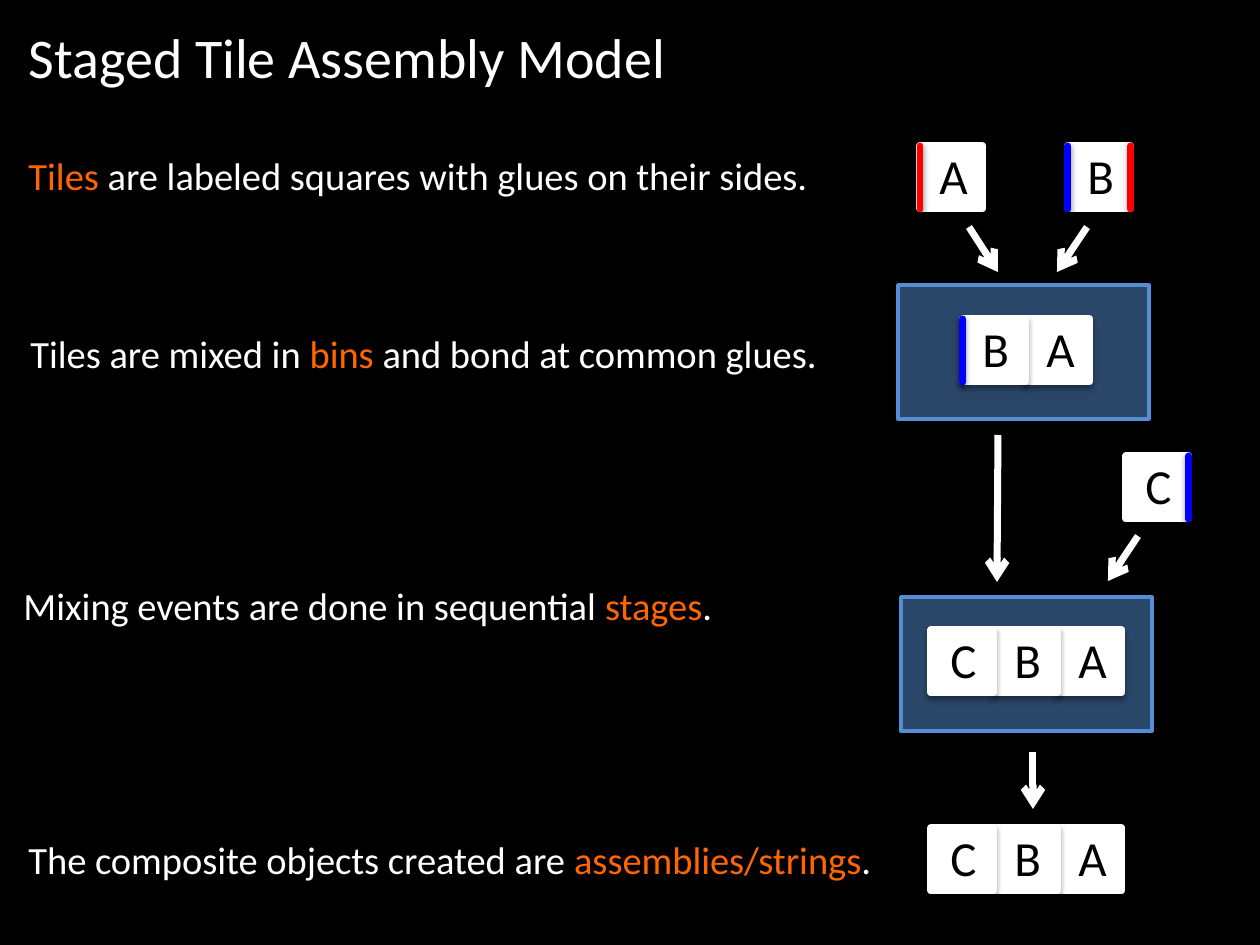
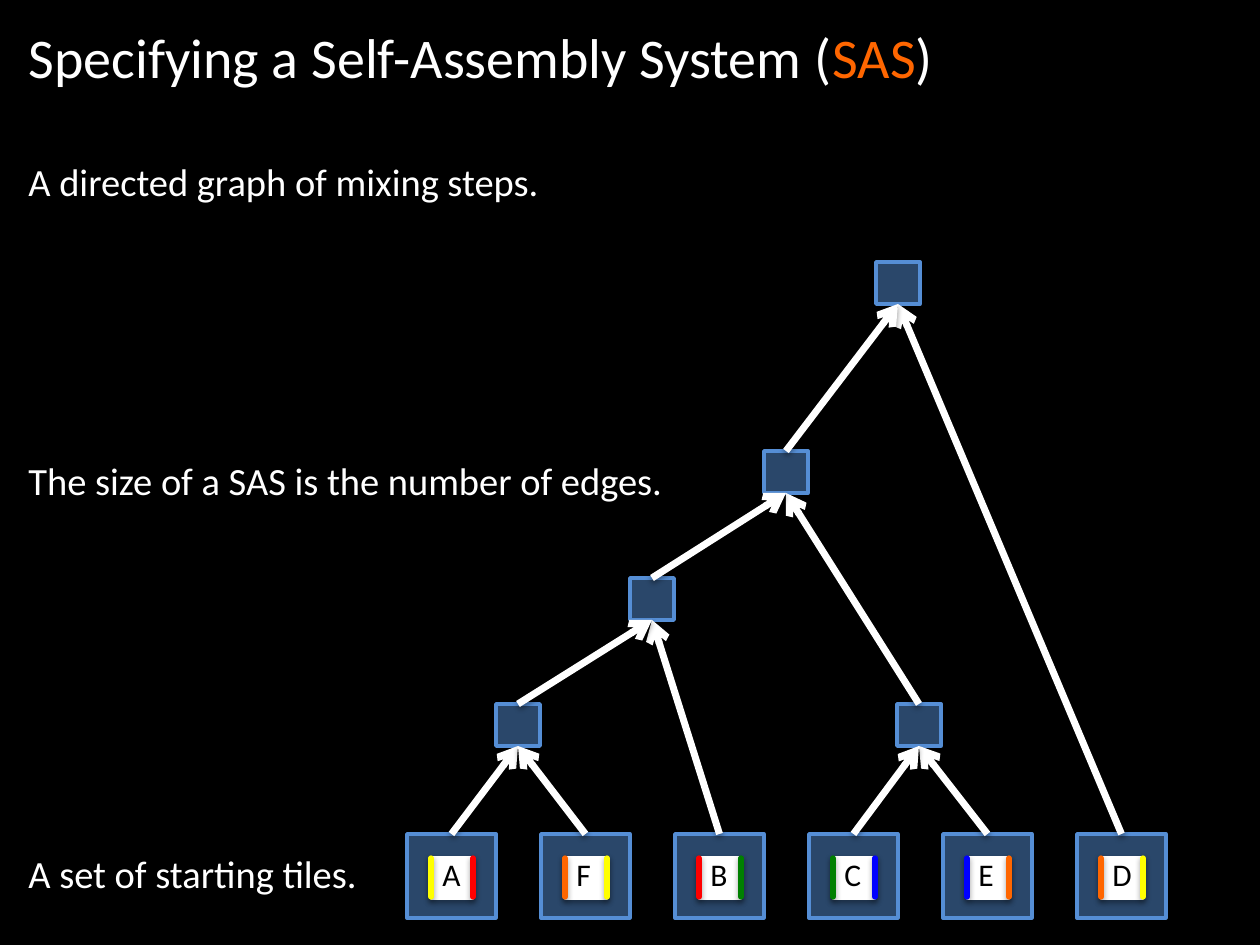
"""Build two slides on staged tile self-assembly."""

from dataclasses import dataclass
from typing import NamedTuple, Optional

from lxml.etree import SubElement
from pptx import Presentation
from pptx.dml.color import RGBColor
from pptx.enum.shapes import MSO_CONNECTOR, MSO_SHAPE
from pptx.enum.text import MSO_ANCHOR, MSO_AUTO_SIZE, PP_ALIGN
from pptx.oxml.ns import qn
from pptx.shapes.autoshape import Shape
from pptx.shapes.connector import Connector
from pptx.slide import Slide
from pptx.text.text import TextFrame
from pptx.util import Emu, Pt

PX_PER_INCH = 126
SLIDE_W, SLIDE_H = 1260, 945
FONT = "Calibri"

BLACK = RGBColor(0x00, 0x00, 0x00)
WHITE = RGBColor(0xFF, 0xFF, 0xFF)
ORANGE = RGBColor(0xFF, 0x66, 0x00)
RED = RGBColor(0xFF, 0x00, 0x00)
BLUE = RGBColor(0x00, 0x00, 0xFF)
YELLOW = RGBColor(0xFF, 0xFF, 0x00)
GREEN = RGBColor(0x00, 0x80, 0x00)
BIN_BLUE = RGBColor(0x55, 0x8E, 0xD5)


class Box(NamedTuple):
    """Left, top, width and height in px."""

    left: int
    top: int
    width: int
    height: int


@dataclass(frozen=True)
class TileStyle:
    """Measures shared by all tiles of one size."""

    side: int
    outline: float
    glue_width: float
    glue_inset: int
    label_dx: int
    label_dy: int
    label_width: int
    label_height: int
    label_size: int


@dataclass(frozen=True)
class Tile:
    """A labeled square with optional glues on its left and right sides."""

    label: str
    left: int
    top: int
    left_glue: Optional[RGBColor] = None
    right_glue: Optional[RGBColor] = None


class Statement(NamedTuple):
    """A sentence whose key terms stand between asterisks."""

    text: str
    box: Box


class Arrow(NamedTuple):
    """Start and end of a free arrow in px."""

    x1: int
    y1: int
    x2: int
    y2: int


LARGE = TileStyle(63, 4, 4, 0, 7, -7, 57, 72, 28)
SMALL = TileStyle(42, 0.75, 3, 1, -1, -8, 48, 50, 18)
STRING_STEP = 64

MODEL_STATEMENTS = [
    Statement("*Tiles *are labeled squares with glues on their sides.", Box(16, 146, 863, 59)),
    Statement("Tiles are mixed in *bins *and bond at common glues.", Box(18, 324, 861, 59)),
    Statement("Mixing events are done in sequential *stages*.", Box(11, 576, 785, 59)),
    Statement("The composite objects created are *assemblies/strings*.", Box(16, 830, 885, 59)),
]
STAGE_BINS = [Box(898, 285, 251, 134), Box(901, 597, 251, 134)]
STAGE_ARROWS = [
    Arrow(969, 227, 998, 272),
    Arrow(1087, 227, 1057, 272),
    Arrow(1138, 536, 1108, 581),
    Arrow(998, 435, 997, 582),
    Arrow(1033, 752, 1033, 809),
]
INPUT_TILES = [
    Tile("B", 1068, 146, BLUE, RED),
    Tile("A", 920, 146, RED),
    Tile("C", 1126, 456, None, BLUE),
]

SYSTEM_STATEMENTS = [
    Statement("A directed graph of mixing steps.", Box(16, 152, 1244, 59)),
    Statement("The size of a SAS is the number of edges.", Box(16, 451, 1244, 59)),
    Statement("A set of starting tiles.", Box(16, 844, 370, 59)),
]
STARTING_GLUES = {
    "A": (YELLOW, RED),
    "F": (ORANGE, YELLOW),
    "B": (RED, GREEN),
    "C": (GREEN, BLUE),
    "E": (BLUE, ORANGE),
    "D": (ORANGE, YELLOW),
}
STARTING_LEFT, STARTING_TOP, STARTING_STEP = 407, 834, 134
MIXING_STEPS = {
    "AF": (496, 704),
    "CE": (897, 704),
    "AFB": (630, 578),
    "AFBCE": (764, 451),
    "AFBCED": (876, 262),
}
EDGES = [
    ("A", "AF"), ("F", "AF"), ("B", "AFB"), ("AF", "AFB"), ("E", "CE"), ("C", "CE"),
    ("CE", "AFBCE"), ("AFB", "AFBCE"), ("D", "AFBCED"), ("AFBCE", "AFBCED"),
]


def px(length: float) -> Emu:
    """Turn px into EMU."""
    return Emu(round(length * 914400 / PX_PER_INCH))


def cast_shadow(part: Shape | Connector, distance: int, opacity: int) -> None:
    """Give a shape or connector a soft shadow below it."""
    properties = part.element.spPr
    effects = properties.find(qn("a:effectLst"))
    if effects is None:
        effects = SubElement(properties, qn("a:effectLst"))
    shadow = SubElement(effects, qn("a:outerShdw"), blurRad="40000",
                        dist=str(distance), dir="5400000", rotWithShape="0")
    color = SubElement(shadow, qn("a:srgbClr"), val=str(BLACK))
    SubElement(color, qn("a:alpha"), val=str(opacity * 1000))


def write(frame: TextFrame, text: str, size: int, color: RGBColor) -> None:
    """Write one left-aligned paragraph, with terms between asterisks in orange."""
    frame.word_wrap = True
    frame.vertical_anchor = MSO_ANCHOR.TOP
    paragraph = frame.paragraphs[0]
    paragraph.alignment = PP_ALIGN.LEFT
    paragraph.font.name = FONT
    paragraph.font.size = Pt(size)
    paragraph.font.color.rgb = color
    for index, piece in enumerate(text.split("*")):
        if piece:
            run = paragraph.add_run()
            run.text = piece
            if index % 2:
                run.font.color.rgb = ORANGE


def add_text(slide: Slide, text: str, box: Box, size: int = 22, color: RGBColor = WHITE) -> None:
    """Add a text box."""
    frame = slide.shapes.add_textbox(*map(px, box)).text_frame
    write(frame, text, size, color)
    frame.auto_size = MSO_AUTO_SIZE.SHAPE_TO_FIT_TEXT


def add_block(slide: Slide, box: Box, fill: RGBColor, outline: float) -> Shape:
    """Add a shadowed rectangle whose outline matches its fill."""
    block = slide.shapes.add_shape(MSO_SHAPE.RECTANGLE, *map(px, box))
    block.fill.solid()
    block.fill.fore_color.rgb = fill
    block.line.color.rgb = fill
    block.line.width = Pt(outline)
    block.shadow.inherit = False
    cast_shadow(block, 23000, 35)
    return block


def add_bin(slide: Slide, box: Box) -> Shape:
    """Add a half-transparent mixing bin."""
    mixing_bin = add_block(slide, box, BIN_BLUE, 2)
    color = mixing_bin.element.spPr.find(qn("a:solidFill"))[0]
    SubElement(color, qn("a:alpha"), val="50000")
    return mixing_bin


def add_line(slide: Slide, ends: tuple[Emu, ...], color: RGBColor, width: float) -> Connector:
    """Add a straight shadowed line between two points in EMU."""
    line = slide.shapes.add_connector(MSO_CONNECTOR.STRAIGHT, *ends)
    line.line.color.rgb = color
    line.line.width = Pt(width)
    cast_shadow(line, 20000, 38)
    return line


def add_arrow(slide: Slide, ends: tuple[Emu, ...]) -> Connector:
    """Add a white arrow between two points in EMU."""
    arrow = add_line(slide, ends, WHITE, 4)
    SubElement(arrow.line._get_or_add_ln(), qn("a:tailEnd"), type="arrow")
    return arrow


def add_edge(slide: Slide, source: Shape, target: Shape) -> None:
    """Join the top of one bin to the bottom of the bin it feeds."""
    ends = (source.left + source.width // 2, source.top,
            target.left + target.width // 2, target.top + target.height)
    edge = add_arrow(slide, tuple(map(Emu, ends)))
    edge.begin_connect(source, 0)
    edge.end_connect(target, 2)


def add_tile(slide: Slide, tile: Tile, style: TileStyle) -> None:
    """Add a tile with its glues and label."""
    add_block(slide, Box(tile.left, tile.top, style.side, style.side), WHITE, style.outline)
    bottom = tile.top + style.side - 2 * style.glue_inset
    top = tile.top + style.glue_inset
    for x, glue in ((tile.left, tile.left_glue), (tile.left + style.side, tile.right_glue)):
        if glue is not None:
            ends = tuple(map(px, (x, bottom, x, top)))
            side = add_line(slide, ends, glue, style.glue_width)
            side.line._get_or_add_ln().set("cap", "rnd")
    label_box = Box(tile.left + style.label_dx, tile.top + style.label_dy,
                    style.label_width, style.label_height)
    add_text(slide, tile.label, label_box, style.label_size, BLACK)


def add_string(slide: Slide, labels: str, left: int, top: int,
               left_glue: Optional[RGBColor] = None) -> None:
    """Add bonded tiles, the leftmost one in front."""
    for index, label in reversed(list(enumerate(labels))):
        glue = left_glue if index == 0 else None
        add_tile(slide, Tile(label, left + index * STRING_STEP, top, glue), LARGE)


def add_titled_slide(deck: Presentation, title: str, width: int,
                     statements: list[Statement]) -> Slide:
    """Add a slide with its title and statements."""
    slide = deck.slides.add_slide(deck.slide_layouts.get_by_name("Title Only"))
    heading = slide.shapes.title
    heading.left, heading.top, heading.width, heading.height = map(px, Box(16, 16, width, 81))
    write(heading.text_frame, title, 32, WHITE)
    heading.text_frame.auto_size = MSO_AUTO_SIZE.NONE
    for statement in statements:
        add_text(slide, statement.text, statement.box)
    return slide


def build_model(deck: Presentation) -> None:
    """Show tiles mixed in two stages."""
    slide = add_titled_slide(deck, "Staged Tile Assembly Model", 1009, MODEL_STATEMENTS)
    for box in STAGE_BINS:
        add_bin(slide, box)
    for arrow in STAGE_ARROWS:
        add_arrow(slide, tuple(map(px, arrow)))
    for tile in INPUT_TILES:
        add_tile(slide, tile, LARGE)
    add_string(slide, "BA", 963, 319, BLUE)
    for top in (630, 828):
        add_string(slide, "CBA", 931, top)


def build_system(deck: Presentation) -> None:
    """Show the graph of mixing steps above its starting tiles."""
    slide = add_titled_slide(deck, "Specifying a Self-Assembly System (*SAS*)", 1133,
                             SYSTEM_STATEMENTS)
    bins = {name: add_bin(slide, Box(left, top, 44, 42))
            for name, (left, top) in MIXING_STEPS.items()}
    for index, (label, glues) in enumerate(STARTING_GLUES.items()):
        left = STARTING_LEFT + index * STARTING_STEP
        bins[label] = add_bin(slide, Box(left, STARTING_TOP, 89, 84))
        add_tile(slide, Tile(label, left + 24, STARTING_TOP + 23, *glues), SMALL)
    for source, target in EDGES:
        add_edge(slide, bins[source], bins[target])


def main() -> None:
    """Build and save the deck."""
    deck = Presentation()
    deck.slide_width, deck.slide_height = px(SLIDE_W), px(SLIDE_H)
    backdrop = deck.slide_master.background.fill
    backdrop.solid()
    backdrop.fore_color.rgb = BLACK
    build_model(deck)
    build_system(deck)
    deck.save("out.pptx")


if __name__ == "__main__":
    main()
